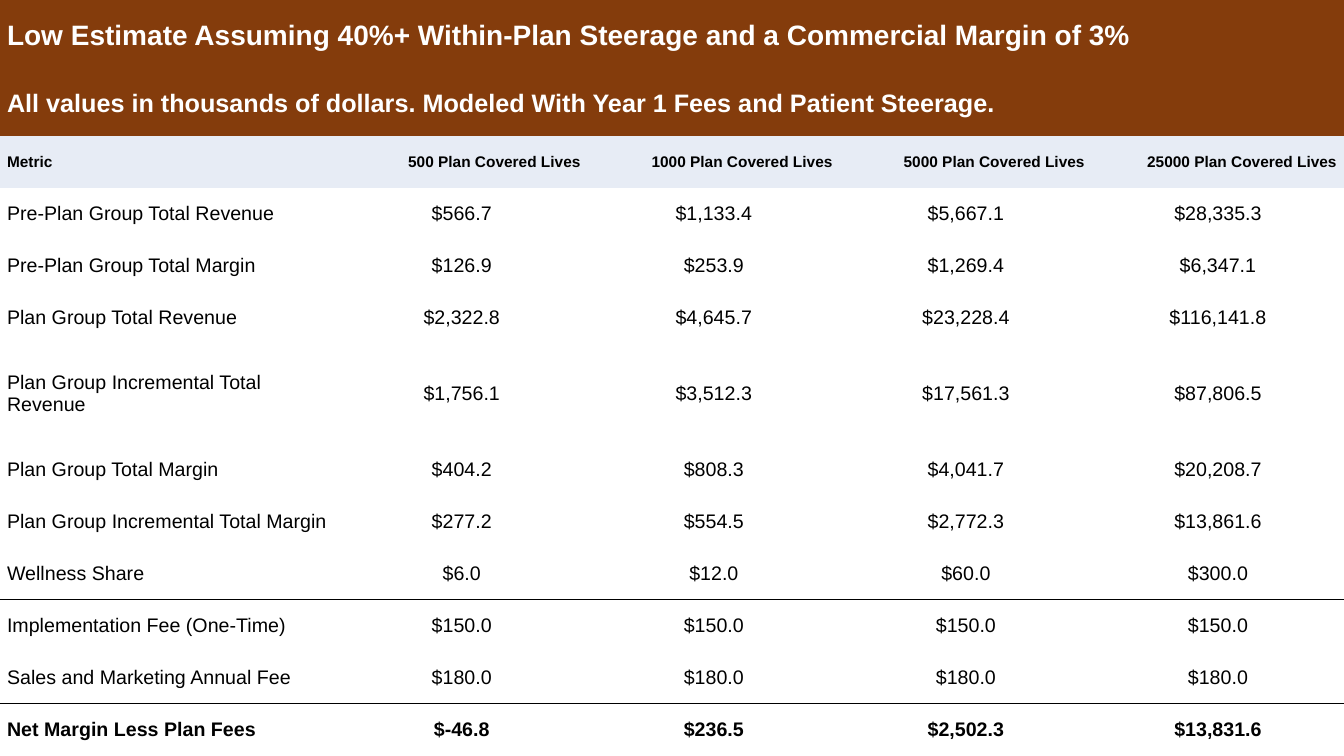
from lxml import etree
from pptx import Presentation
from pptx.dml.color import RGBColor
from pptx.enum.text import MSO_ANCHOR, PP_ALIGN
from pptx.oxml.ns import qn
from pptx.util import Inches, Pt

MIDDLE = MSO_ANCHOR.MIDDLE
LEFT, CENTER, RIGHT = PP_ALIGN.LEFT, PP_ALIGN.CENTER, PP_ALIGN.RIGHT

BANNERS = [
    ("Low Estimate Assuming 40%+ Within-Plan Steerage and a Commercial Margin of 3%", 20),
    ("All values in thousands of dollars. Modeled With Year 1 Fees and Patient Steerage.", 18),
]
HEADER = ["Metric", "500 Plan Covered Lives", "1000 Plan Covered Lives",
          "5000 Plan Covered Lives", "25000 Plan Covered Lives"]
METRICS = [
    ["Pre-Plan Group Total Revenue", "$566.7", "$1,133.4", "$5,667.1", "$28,335.3"],
    ["Pre-Plan Group Total Margin", "$126.9", "$253.9", "$1,269.4", "$6,347.1"],
    ["Plan Group Total Revenue", "$2,322.8", "$4,645.7", "$23,228.4", "$116,141.8"],
    ["Plan Group Incremental Total Revenue", "$1,756.1", "$3,512.3", "$17,561.3", "$87,806.5"],
    ["Plan Group Total Margin", "$404.2", "$808.3", "$4,041.7", "$20,208.7"],
    ["Plan Group Incremental Total Margin", "$277.2", "$554.5", "$2,772.3", "$13,861.6"],
    ["Wellness Share", "$6.0", "$12.0", "$60.0", "$300.0"],
    ["Implementation Fee (One-Time)", "$150.0", "$150.0", "$150.0", "$150.0"],
    ["Sales and Marketing Annual Fee", "$180.0", "$180.0", "$180.0", "$180.0"],
    ["Net Margin Less Plan Fees", "$-46.8", "$236.5", "$2,502.3", "$13,831.6"],
]
RULED_BELOW = {"Wellness Share", "Sales and Marketing Annual Fee"}
BROWN, PALE_BLUE, WHITE, BLACK = "843C0C", "E7ECF5", "FFFFFF", "000000"
NO_STYLE = "{2D5ABB26-0587-4C30-8999-92F81FD0307C}"

SLIDE_W, SLIDE_H = 13.33, 7.5
METRIC_W, VALUE_W = 3.33, 2.5
TALL_ROWS = {0: 0.71, 1: 0.64, 6: 0.99}
ROW_COUNT = len(BANNERS) + 1 + len(METRICS)
ROW_H = (SLIDE_H - sum(TALL_ROWS.values())) / (ROW_COUNT - len(TALL_ROWS))


def fill_cell(cell, text, size, color=BLACK, bold=False, align=LEFT, fill=None):
    cell.margin_left = cell.margin_right = Inches(0.07)
    cell.margin_top = cell.margin_bottom = 0
    cell.vertical_anchor = MIDDLE
    if fill:
        cell.fill.solid()
        cell.fill.fore_color.rgb = RGBColor.from_string(fill)
    else:
        cell.fill.background()
    p = cell.text_frame.paragraphs[0]
    p.text = text
    p.alignment = align
    p.font.name = "Arial"
    p.font.size = Pt(size)
    p.font.bold = bold
    p.font.color.rgb = RGBColor.from_string(color)


def set_borders(cell, ruled_sides):
    """Draw 1 pt black lines on the given sides and clear the others."""
    tc_pr = cell._tc.get_or_add_tcPr()
    for i, side in enumerate(("lnL", "lnR", "lnT", "lnB")):
        line = etree.Element(qn("a:" + side), w=str(Pt(1)))
        if side in ruled_sides:
            solid = etree.SubElement(line, qn("a:solidFill"))
            etree.SubElement(solid, qn("a:srgbClr"), val=BLACK)
        else:
            etree.SubElement(line, qn("a:noFill"))
        tc_pr.insert(i, line)


prs = Presentation()
prs.slide_width, prs.slide_height = Inches(SLIDE_W), Inches(SLIDE_H)
s = prs.slides.add_slide(prs.slide_layouts[6])
table = s.shapes.add_table(ROW_COUNT, len(HEADER), 0, 0,
                           Inches(SLIDE_W), Inches(SLIDE_H)).table
table.first_row = table.horz_banding = False
table._tbl.tblPr.find(qn("a:tableStyleId")).text = NO_STYLE
for c, column in enumerate(table.columns):
    column.width = Inches(VALUE_W if c else METRIC_W)
for r, row in enumerate(table.rows):
    row.height = Inches(TALL_ROWS.get(r, ROW_H))

for r, (text, size) in enumerate(BANNERS):
    table.cell(r, 0).merge(table.cell(r, len(HEADER) - 1))
    fill_cell(table.cell(r, 0), text, size, WHITE, True, fill=BROWN)

header_row = len(BANNERS)
for c, text in enumerate(HEADER):
    fill_cell(table.cell(header_row, c), text, 11, bold=True,
              align=RIGHT if c else LEFT, fill=PALE_BLUE)

ruled_above = False
for r, metric in enumerate(METRICS, header_row + 1):
    ruled_below = metric[0] in RULED_BELOW
    ruled_sides = ["lnT"] * ruled_above + ["lnB"] * ruled_below
    for c, text in enumerate(metric):
        cell = table.cell(r, c)
        fill_cell(cell, text, 14, bold=metric is METRICS[-1],
                  align=CENTER if c else LEFT)
        set_borders(cell, ruled_sides)
    ruled_above = ruled_below

prs.save("out.pptx")
